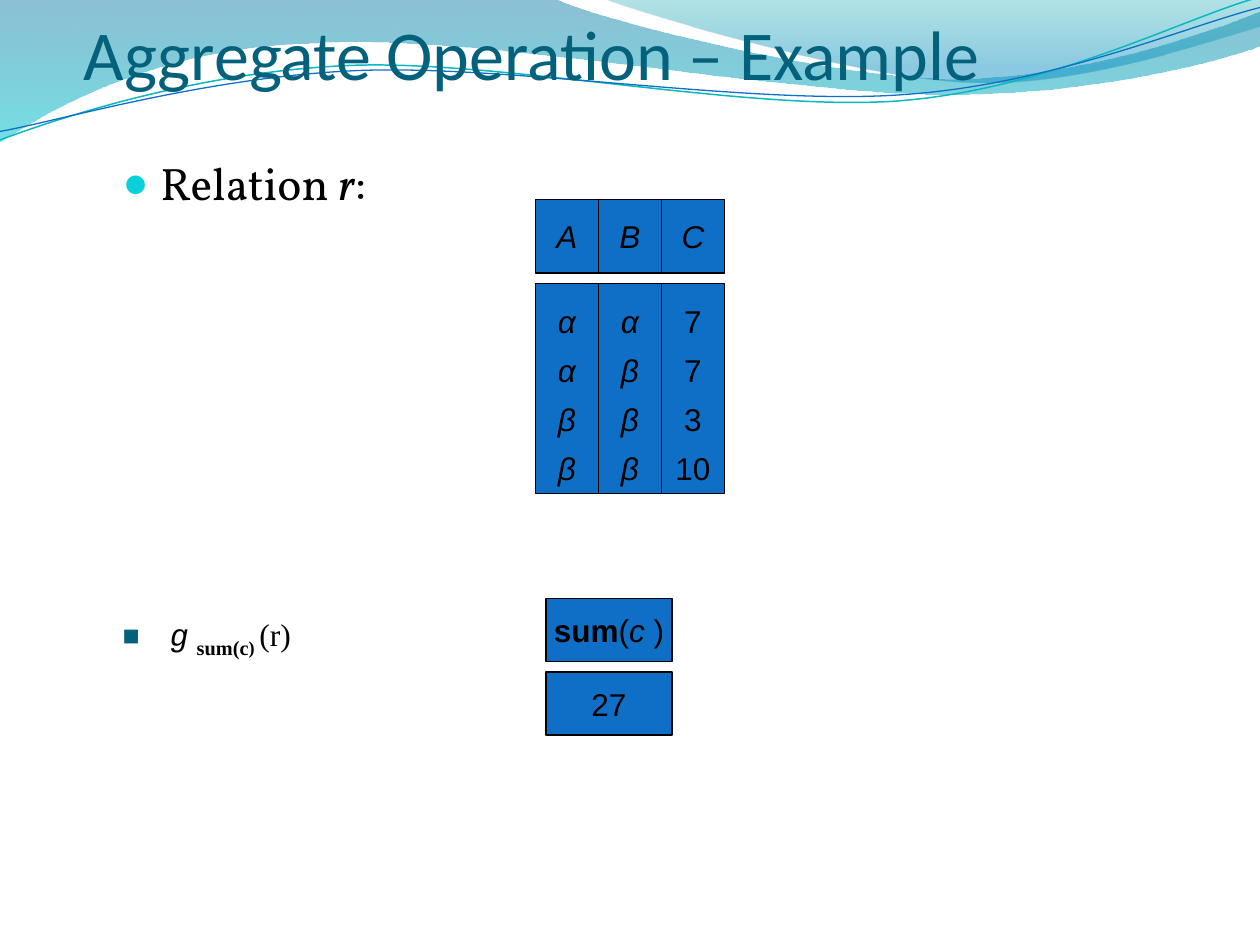
from dataclasses import dataclass

from lxml import etree
from pptx import Presentation
from pptx import util as u
from pptx.dml.color import RGBColor
from pptx.enum import shapes, text
from pptx.oxml import ns


@dataclass(frozen=True)
class Theme:
    ink: str = "000000"
    title: str = "04617B"
    bullet: str = "0BD0D9"
    blue: str = "0F6FC6"
    teal: str = "0AB8BF"
    # Gradient stops: position, colour, opacity in percent
    wave: tuple = ((0, "0074A1", 45), (1, "00C6CF", 55))
    crest: tuple = ((0, "00A1A9", 30), (0.8, "008BBF", 45))
    title_font: str = "Calibri"
    body_font: str = "Vollkorn"
    cell_font: str = "Arial"
    symbol_font: str = "Courier New"
    formula_font: str = "Times New Roman"
    title_size: int = 40
    body_size: int = 26
    subscript_size: int = 20
    cell_size: int = 18


THEME = Theme()

# Outlines in points: one point is a straight step, three points are a curve
WAVE = [
    [(0, 0)], [(317, -0.7)],
    [(343, 12), (478, 45), (546, 45)], [(614, 45), (690, 19), (720, 6.5)],
    [(720.7, 26)],
    [(708, 32), (626, 55), (537, 54)], [(448, 54), (275, 20), (185, 24.5)],
    [(93, 26), (33, 60), (-0.7, 81.4)],
]
CREST = [
    [(345, -0.7)],
    [(366.5, 8), (491, 44.6), (553.7, 46.8)], [(616.3, 49.7), (692, 23), (720, 15)],
    [(720, 0)],
]
# The two thin curves are drawn level and then tilted
TILT = -2.7
TEAL_LINE = [
    [(-1.4, 63)], [(33.8, 51.7), (114.1, 29.4), (199.8, 29.9)],
    [(284.9, 30.3), (425.8, 67.2), (512.4, 64.9)],
    [(599, 62.3), (676.5, 25.7), (720.2, 15.6)],
]
BLUE_LINE = [
    [(-1.1, 58.1)], [(33, 53.7), (118.2, 32.6), (204.1, 33)],
    [(290.6, 33.4), (428.9, 63.8), (515.5, 61.4)],
    [(601.4, 59.6), (678.4, 30), (721.4, 21.3)],
]

# Relation r: heading, values, whether the values are italic
COLUMNS = [("A", "ααββ", True), ("B", "αβββ", True), ("C", ("7", "7", "3", "10"), False)]


def colour(value):
    return RGBColor.from_string(value)


def add_outline(page, outline, close):
    """Join the end points, then bend the steps that have control points."""
    start, *rest = [(u.Pt(x), u.Pt(y)) for x, y in (step[-1] for step in outline)]
    builder = page.shapes.build_freeform(*start)
    builder.add_line_segments(rest, close=close)
    shape = builder.convert_to_shape()
    shape.shadow.inherit = False
    segments = list(shape._element.iter(ns.qn("a:lnTo")))
    for segment, step in zip(segments, outline[1:]):
        if len(step) == 3:
            segment.tag = ns.qn("a:cubicBezTo")
            for i, (x, y) in enumerate(step[:2]):
                point = etree.Element(ns.qn("a:pt"), x=str(u.Pt(x) - shape.left),
                                      y=str(u.Pt(y) - shape.top))
                segment.insert(i, point)
    return shape


def add_wave(page, outline, stops):
    shape = add_outline(page, outline, True)
    shape.line.fill.background()
    shape.fill.gradient()
    shape.fill.gradient_angle = 270
    for stop, (position, value, _) in zip(shape.fill.gradient_stops, stops):
        stop.position = position
        stop.color.rgb = colour(value)
    for node, (_, _, opacity) in zip(shape._element.iter(ns.qn("a:srgbClr")), stops):
        etree.SubElement(node, ns.qn("a:alpha"), val=str(opacity * 1000))


def add_curve(page, outline, value, width):
    shape = add_outline(page, outline, False)
    shape.rotation = TILT
    shape.fill.background()
    shape.line.color.rgb = colour(value)
    shape.line.width = u.Pt(width)


def add_span(para, words, font=THEME.cell_font, size=THEME.cell_size, ink=THEME.ink,
             bold=False, italic=False, baseline=0):
    span = para.add_run()
    span.text = words
    span.font.name = font
    span.font.size = u.Pt(size)
    span.font.color.rgb = colour(ink)
    span.font.bold = bold
    span.font.italic = italic
    if baseline:
        span.font._element.set("baseline", str(baseline * 1000))


def add_text(page, left, top, width, height):
    box = page.shapes.add_textbox(*map(u.Pt, (left, top, width, height)))
    box.text_frame.word_wrap = True
    return box.text_frame


def add_bullet(para, mark, ink, percent, indent, before):
    para.space_before = u.Pt(before)
    props = para._p.get_or_add_pPr()
    props.set("marL", str(u.Pt(indent)))
    props.set("indent", str(u.Pt(-indent)))
    holder = etree.SubElement(props, ns.qn("a:buClr"))
    etree.SubElement(holder, ns.qn("a:srgbClr"), val=ink)
    etree.SubElement(props, ns.qn("a:buSzPct"), val=str(percent * 1000))
    etree.SubElement(props, ns.qn("a:buFont"), typeface=THEME.cell_font)
    etree.SubElement(props, ns.qn("a:buChar"), char=mark)


def add_cell(page, left, top, width, height, lines, spacing=None):
    """Draw a box; each line is a list of (words, font style) pairs."""
    box = page.shapes.add_shape(shapes.MSO_SHAPE.RECTANGLE,
                                *map(u.Pt, (left, top, width, height)))
    box.shadow.inherit = False
    box.fill.solid()
    box.fill.fore_color.rgb = colour(THEME.blue)
    box.line.color.rgb = colour(THEME.ink)
    box.line.width = u.Pt(0.75)
    frame = box.text_frame
    frame.word_wrap = False
    frame.vertical_anchor = text.MSO_ANCHOR.MIDDLE
    for i, spans in enumerate(lines):
        para = frame.add_paragraph() if i else frame.paragraphs[0]
        para.alignment = text.PP_ALIGN.CENTER
        para.line_spacing = spacing
        for words, style in spans:
            add_span(para, words, **style)


def main():
    deck = Presentation()
    deck.slide_width, deck.slide_height = u.Pt(720), u.Pt(540)
    page = deck.slides.add_slide(deck.slide_layouts[6])

    # Wave decoration along the top
    add_wave(page, WAVE, THEME.wave)
    add_wave(page, CREST, THEME.crest)
    add_curve(page, TEAL_LINE, THEME.teal, 0.85)
    add_curve(page, BLUE_LINE, THEME.blue, 0.75)

    # Title
    title = add_text(page, 48, 0, 612, 54)
    title.vertical_anchor = text.MSO_ANCHOR.BOTTOM
    title.margin_left = title.margin_right = title.margin_bottom = 0
    add_span(title.paragraphs[0], "Aggregate Operation – Example",
             THEME.title_font, THEME.title_size, THEME.title)

    # Relation label
    para = add_text(page, 63, 85, 213, 45).paragraphs[0]
    add_bullet(para, "●", THEME.bullet, 95, 21.6, 5.2)
    for words, italic in (("Relation ", False), ("r", True), (":", False)):
        add_span(para, words, THEME.body_font, THEME.body_size, italic=italic)

    # Relation columns
    for i, (heading, values, italic) in enumerate(COLUMNS):
        left = 306 + 36 * i
        add_cell(page, left, 114, 36, 42, [[(heading, {"italic": True})]])
        add_cell(page, left, 162, 36, 120,
                 [[(value, {"italic": italic})] for value in values], 1.3)

    # Aggregate expression
    para = add_text(page, 63, 346, 158, 44).paragraphs[0]
    add_bullet(para, "■", THEME.title, 90, 27, 6.3)
    add_span(para, "g", THEME.symbol_font, italic=True)
    add_span(para, " ", THEME.formula_font, italic=True)
    add_span(para, "sum(c", THEME.formula_font, THEME.subscript_size, bold=True, baseline=-25)
    add_span(para, ") ", THEME.formula_font, bold=True, baseline=-25)
    add_span(para, "(r)", THEME.formula_font)

    # Aggregate result
    add_cell(page, 312, 342, 72, 36,
             [[("sum", {"bold": True}), ("(", {}), ("c ", {"italic": True}), (")", {})]])
    add_cell(page, 312, 384, 72, 36, [[("27", {})]])

    deck.save("out.pptx")


if __name__ == "__main__":
    main()
